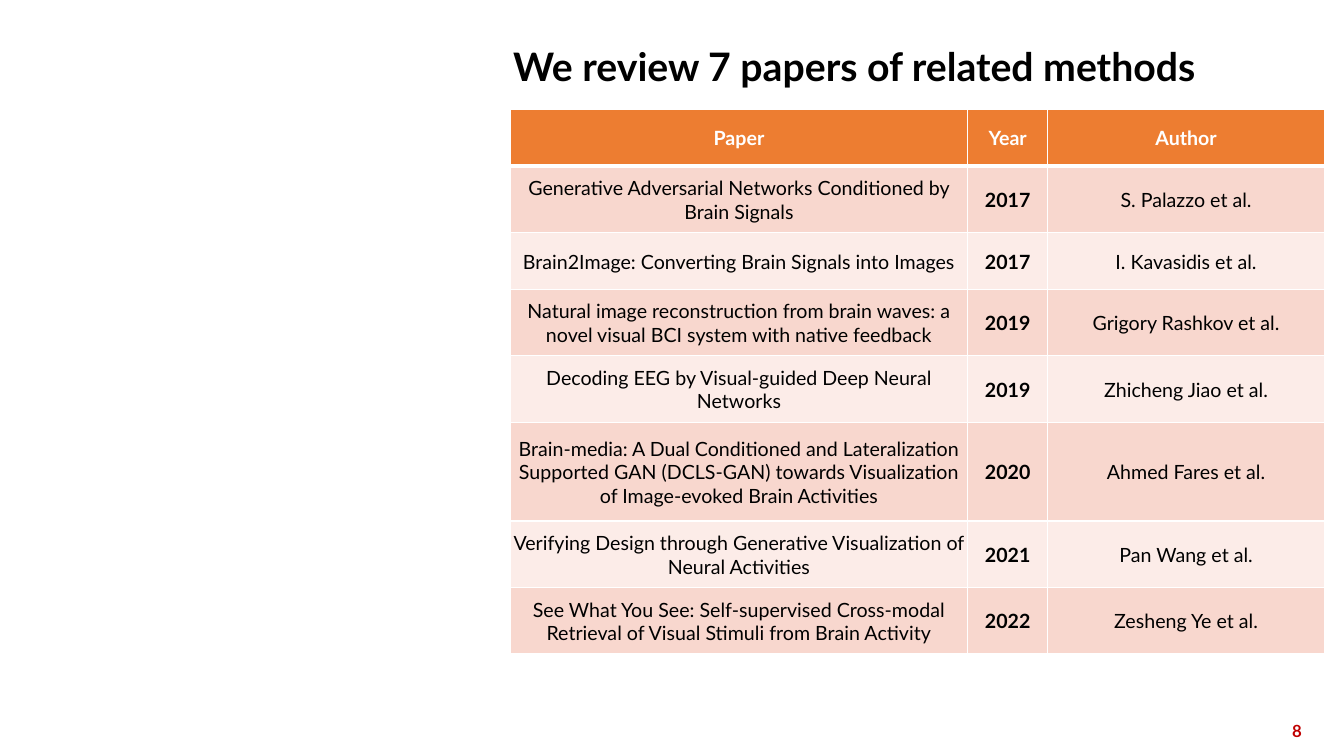
from lxml import etree
from pptx import Presentation
from pptx.dml.color import RGBColor
from pptx.enum.text import MSO_ANCHOR as Anchor, PP_ALIGN as Align
from pptx.oxml.ns import qn
from pptx.util import Inches, Pt

# Content
TITLE = "We review 7 papers of related methods"
PAGE_NUMBER = "8"
HEADER = ("Paper", "Year", "Author")
PAPERS = [
    ("Generative Adversarial Networks Conditioned by Brain Signals", "2017", "S. Palazzo et al."),
    ("Brain2Image: Converting Brain Signals into Images", "2017", "I. Kavasidis et al."),
    ("Natural image reconstruction from brain waves: a novel visual BCI system with native feedback",
     "2019", "Grigory Rashkov et al."),
    ("Decoding EEG by Visual-guided Deep Neural Networks", "2019", "Zhicheng Jiao et al."),
    ("Brain-media: A Dual Conditioned and Lateralization Supported GAN (DCLS-GAN) "
     "towards Visualization of Image-evoked Brain Activities", "2020", "Ahmed Fares et al."),
    ("Verifying Design through Generative Visualization of Neural Activities", "2021", "Pan Wang et al."),
    ("See What You See: Self-supervised Cross-modal Retrieval of Visual Stimuli from Brain Activity",
     "2022", "Zesheng Ye et al."),
]
COLUMN_WIDTHS = (4.54, 0.79, 2.75)
ROW_HEIGHTS = (0.56, 0.66, 0.56, 0.66, 0.66, 0.98, 0.66, 0.66)
YEAR_COLUMN = 1
HEADER_FILL = "ED7D31"
BAND_FILLS = ("FCECE8", "F8D7CE")  # even rows, odd rows


def color(hex_string):
    return RGBColor.from_string(hex_string)


def write(frame, text, size=14, bold=False, ink="000000", align=Align.CENTER,
          anchor=Anchor.MIDDLE, spacing=None):
    frame.word_wrap = True
    frame.vertical_anchor = anchor
    paragraph = frame.paragraphs[0]
    paragraph.alignment = align
    if spacing:
        paragraph.line_spacing = spacing
    run = paragraph.add_run()
    run.text = text
    run.font.name = "Lato"
    run.font.size = Pt(size)
    run.font.bold = bold
    run.font.color.rgb = color(ink)


def set_borders(cell, **widths):
    """Draw white cell borders; keys L, R, T, B give widths in points."""
    properties = cell._tc.get_or_add_tcPr()
    for index, side in enumerate("LRTB"):
        line = etree.Element(qn(f"a:ln{side}"), w=str(Pt(widths.get(side, 1))))
        fill = etree.SubElement(line, qn("a:solidFill"))
        etree.SubElement(fill, qn("a:srgbClr"), val="FFFFFF")
        properties.insert(index, line)


presentation = Presentation()
presentation.slide_width, presentation.slide_height = Inches(13.33), Inches(7.5)
slide = presentation.slides.add_slide(presentation.slide_layouts[5])

# Title
title = slide.shapes.title
title.left, title.top = Inches(4.99), Inches(0.44)
title.width, title.height = Inches(8.08), Inches(0.48)
write(title.text_frame, TITLE, size=28, bold=True, align=Align.LEFT, spacing=0.9)

# Table of papers
rows = [HEADER, *PAPERS]
table = slide.shapes.add_table(
    len(rows), len(HEADER), Inches(5.06), Inches(1.09),
    Inches(sum(COLUMN_WIDTHS)), Inches(sum(ROW_HEIGHTS))).table
for column, width in zip(table.columns, COLUMN_WIDTHS):
    column.width = Inches(width)
for row_index, (values, height) in enumerate(zip(rows, ROW_HEIGHTS)):
    table.rows[row_index].height = Inches(height)
    is_header = row_index == 0
    for column_index, text in enumerate(values):
        cell = table.cell(row_index, column_index)
        cell.vertical_anchor = Anchor.MIDDLE
        if not is_header:
            cell.margin_left = cell.margin_right = cell.margin_top = Inches(0.01)
            cell.margin_bottom = 0
        cell.fill.solid()
        cell.fill.fore_color.rgb = color(HEADER_FILL if is_header else BAND_FILLS[row_index % 2])
        set_borders(cell, B=3 if is_header else 1, T=3 if row_index == 1 else 1)
        write(cell.text_frame, text, bold=is_header or column_index == YEAR_COLUMN,
              ink="FFFFFF" if is_header else "000000", anchor=None)

# Page number
number_box = slide.shapes.add_textbox(Inches(10.01), Inches(7.1), Inches(3), Inches(0.4))
write(number_box.text_frame, PAGE_NUMBER, size=12, bold=True, ink="C00000",
      align=Align.RIGHT, anchor=Anchor.TOP)

presentation.save("out.pptx")
